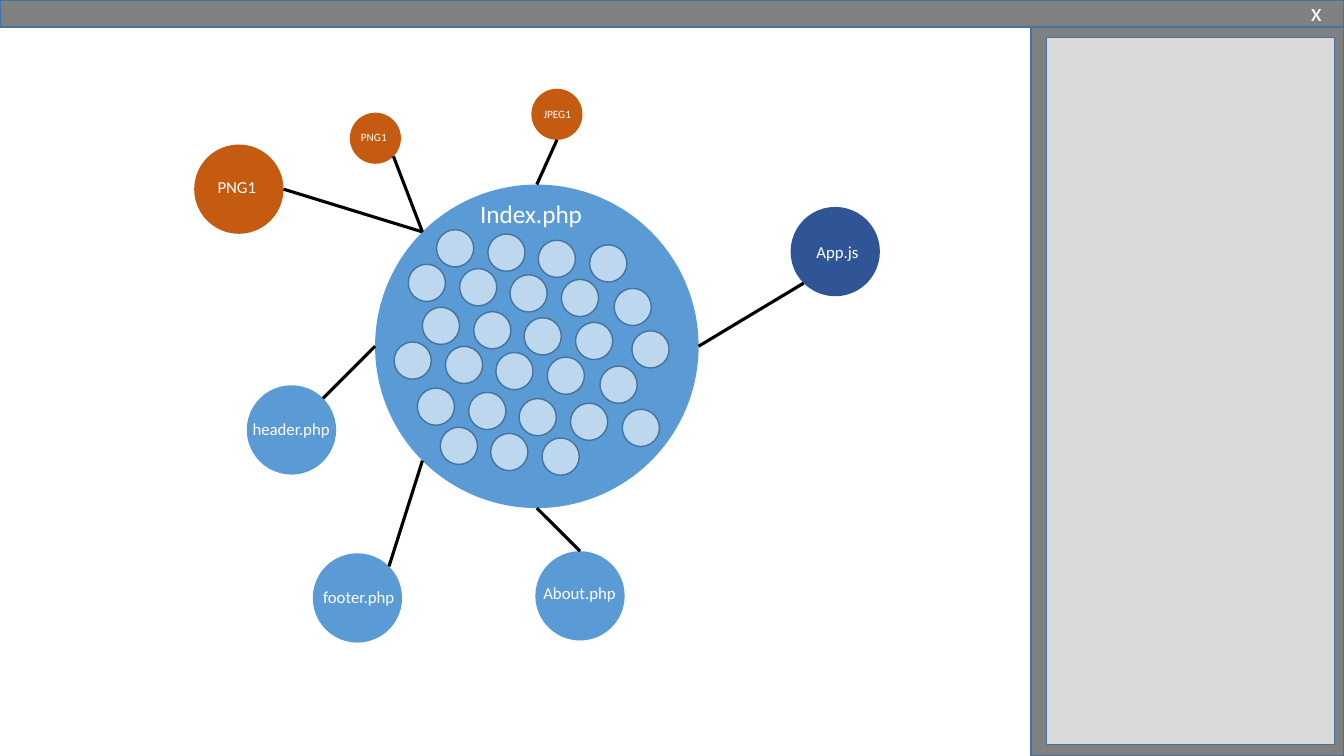
from math import cos, radians, sin

from lxml.etree import SubElement
from pptx import Presentation
from pptx.dml.color import RGBColor
from pptx.enum.shapes import MSO_CONNECTOR, MSO_SHAPE
from pptx.enum.text import MSO_ANCHOR, PP_ALIGN
from pptx.oxml.ns import qn
from pptx.util import Pt

ORANGE, BLUE, NAVY = "C55A11", "5B9BD5", "2F5597"
PALE_BLUE, OUTLINE = "BDD7EE", "43739E"
GREY, LIGHT_GREY = "808080", "D9D9D9"
WHITE, BLACK = "FFFFFF", "000000"

# Left, top and diameter of the central page
INDEX = (267.9, 131.8, 231.1)
SMALL, LARGE = 36.5, 63.8

# Left, top, diameter, fill, angle on the file, angle on the central page,
# label, label centre, text size; angles run clockwise from the right
FILES = [
    (379.6, 63.4, SMALL, ORANGE, 90, 270, "JPEG1", (398.1, 81.8), 8),
    (249.9, 80.5, SMALL, ORANGE, 45, 225, "PNG1", (267.1, 97.6), 8),
    (138.7, 103.2, LARGE, ORANGE, 0, 225, "PNG1", (169.2, 133.6), 12),
    (176.3, 275.2, LARGE, BLUE, 315, 180, "header.php", (208, 306.4), 12),
    (223.4, 395.2, LARGE, BLUE, 315, 135, "footer.php", (256.3, 426.6), 12),
    (382.4, 393.7, LARGE, BLUE, 270, 90, "About.php", (414, 423.8), 12),
    (564.7, 147.8, LARGE, NAVY, 135, 0, "App.js", (598.3, 179.7), 12),
]

# Each row of dots slants down to the right by the same steps
DOT = 26.6
SLANT = [(0, 0), (36.7, 3.1), (72.7, 7.5), (109.4, 10.8)]
# Left, top, steps used
DOT_ROWS = [
    (311.8, 164.1, SLANT),
    (291.6, 188.8, SLANT),
    (301.7, 219.5, SLANT),
    (281.5, 244.3, SLANT),
    (298.1, 277.2, SLANT),
    (277.8, 302.1, SLANT[1:]),
]
EDGE_DOTS = [(438.7, 206), (451.4, 236.3), (428.6, 261.5), (444.5, 292.4)]


def color(value):
    return RGBColor.from_string(value)


def add_shape(s, kind, left, top, width, height, fill, line=None):
    sp = s.shapes.add_shape(kind, Pt(left), Pt(top), Pt(width), Pt(height))
    sp.shadow.inherit = False
    sp.fill.solid()
    sp.fill.fore_color.rgb = color(fill)
    if line:
        sp.line.color.rgb = color(line)
        sp.line.width = Pt(1)
    else:
        sp.line.fill.background()


def add_circle(s, left, top, diameter, fill, line=None):
    add_shape(s, MSO_SHAPE.OVAL, left, top, diameter, diameter, fill, line)


def add_label(s, text, center, size, width=88, height=28):
    x, y = center
    sp = s.shapes.add_textbox(Pt(x - width / 2), Pt(y - height / 2), Pt(width), Pt(height))
    tf = sp.text_frame
    tf.word_wrap = True
    tf.vertical_anchor = MSO_ANCHOR.MIDDLE
    tf.margin_left = tf.margin_right = tf.margin_top = tf.margin_bottom = 0
    p = tf.paragraphs[0]
    p.alignment = PP_ALIGN.CENTER
    r = p.add_run()
    r.text = text
    r.font.name = "Calibri"
    r.font.size = Pt(size)
    r.font.color.rgb = color(WHITE)


def rim_point(circle, angle):
    left, top, diameter = circle
    radius = diameter / 2
    a = radians(angle)
    return Pt(left + radius * (1 + cos(a))), Pt(top + radius * (1 + sin(a)))


def add_link(s, start, end):
    line = s.shapes.add_connector(MSO_CONNECTOR.STRAIGHT, *start, *end)
    line.line.color.rgb = color(BLACK)
    line.line.width = Pt(2.25)
    SubElement(line._element.spPr, qn("a:effectLst"))


def add_window(s):
    for left, top, width, height, fill in [
        (0, 0, 960, 19.2, GREY),
        (736.4, 19.2, 223.6, 520.8, GREY),
        (747.4, 27, 205.8, 504.8, LIGHT_GREY),
    ]:
        add_shape(s, MSO_SHAPE.RECTANGLE, left, top, width, height, fill, OUTLINE)
    add_label(s, "x", (940.3, 8.3), 18, width=38, height=16)


def add_file_map(s):
    add_circle(s, *INDEX, BLUE)
    for left, top, diameter, fill, angle, index_angle, name, center, size in FILES:
        circle = (left, top, diameter)
        add_circle(s, *circle, fill)
        add_link(s, rim_point(circle, angle), rim_point(INDEX, index_angle))
        add_label(s, name, center, size)
    add_label(s, "Index.php", (379.4, 152.3), 18)


def add_dots(s):
    dots = [(left + dx, top + dy) for left, top, steps in DOT_ROWS for dx, dy in steps]
    for left, top in dots + EDGE_DOTS:
        add_circle(s, left, top, DOT, PALE_BLUE, OUTLINE)


def main():
    prs = Presentation()
    prs.slide_width, prs.slide_height = Pt(960), Pt(540)
    s = prs.slides.add_slide(prs.slide_layouts[6])
    add_file_map(s)
    add_window(s)
    add_dots(s)
    prs.save("out.pptx")


if __name__ == "__main__":
    main()
